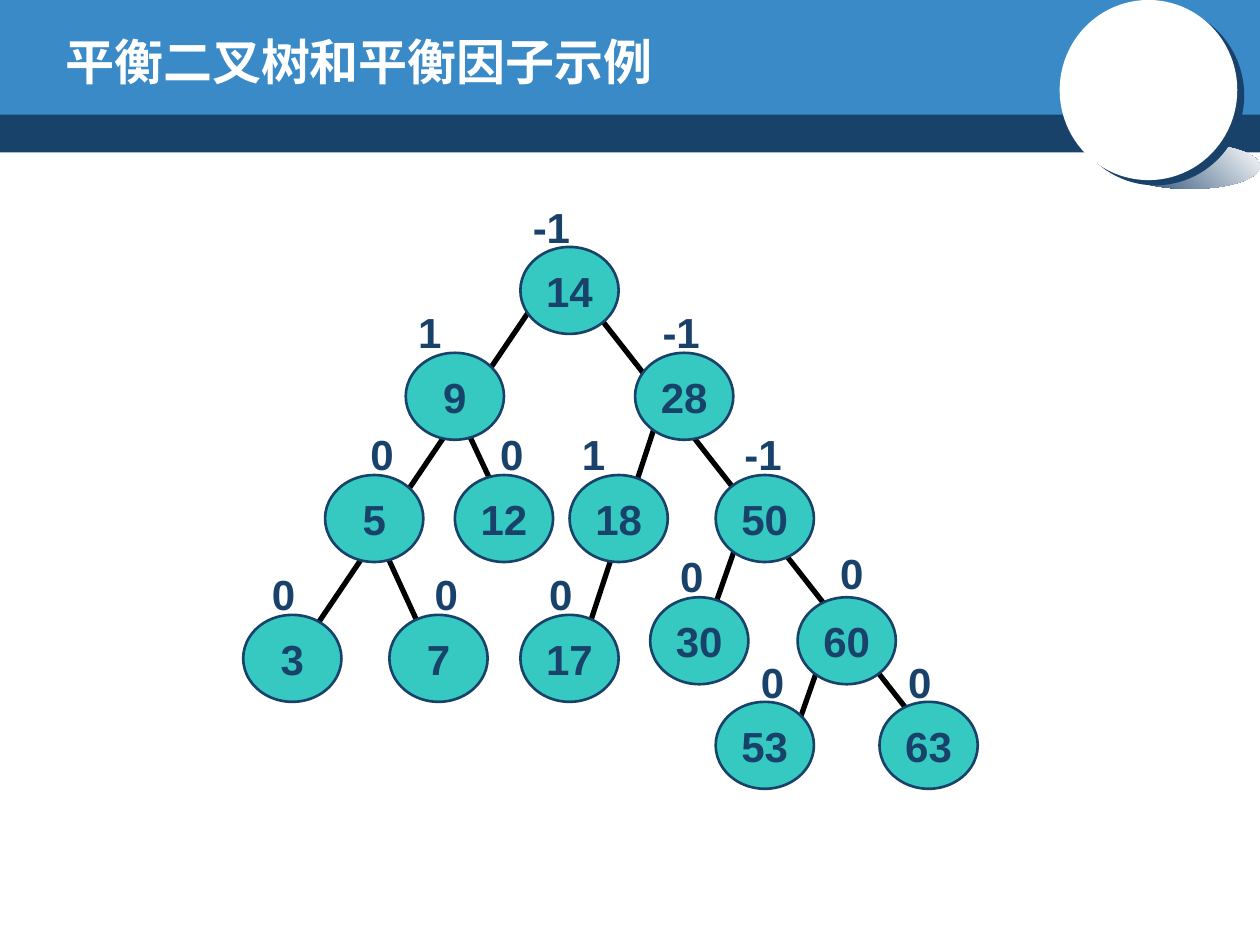
from lxml import etree
from pptx import Presentation
from pptx.dml.color import RGBColor
from pptx.enum import shapes, text
from pptx.oxml import parse_xml
from pptx.oxml.ns import qn
from pptx.util import Inches, Pt

THEME = {
    "navy": RGBColor.from_string("19426B"),
    "blue": RGBColor.from_string("398AC7"),
    "teal": RGBColor.from_string("35C9C2"),
    "white": RGBColor.from_string("FFFFFF"),
    "black": RGBColor.from_string("000000"),
    "title_font": "DejaVu Sans",
    "title_size": Pt(28),
    "tree_font": "Arial",
    "tree_size": Pt(24),
    "outline": Pt(1.5),
    "branch": Pt(3),
}

TITLE = "平衡二叉树和平衡因子示例"
NODE_SIZE = (0.78, 0.69)
FACTOR_SIZE = (0.65, 0.5)

# key, node left/top, balance factor, factor left/top
NODES = [
    ("14", 4.13, 1.96, "-1", 4.13, 1.55),
    ("9", 3.22, 2.8, "1", 3.22, 2.38),
    ("28", 5.04, 2.8, "-1", 5.16, 2.38),
    ("5", 2.58, 3.77, "0", 2.84, 3.35),
    ("12", 3.61, 3.77, "0", 3.87, 3.35),
    ("18", 4.52, 3.77, "1", 4.52, 3.35),
    ("50", 5.68, 3.77, "-1", 5.81, 3.35),
    ("3", 1.93, 4.88, "0", 2.06, 4.46),
    ("7", 3.09, 4.88, "0", 3.35, 4.46),
    ("17", 4.13, 4.88, "0", 4.26, 4.46),
    ("30", 5.16, 4.74, "0", 5.3, 4.32),
    ("60", 6.33, 4.74, "0", 6.57, 4.3),
    ("53", 5.68, 5.57, "0", 5.94, 5.16),
    ("63", 6.98, 5.57, "0", 7.11, 5.16),
]

BRANCHES = [
    (5.94, 4.05, 5.55, 5.16),
    (6.59, 5.02, 6.2, 6.13),
    (3.61, 3.21, 4.13, 4.32),
    (2.97, 4.19, 3.48, 5.3),
    (5.3, 3.07, 4.52, 5.44),
    (4.65, 2.38, 7.37, 5.85),
    (4.26, 2.38, 2.19, 5.44),
]


def add_filled(slide, kind, box, color):
    shape = slide.shapes.add_shape(kind, *map(Inches, box))
    shape.shadow.inherit = False
    shape.fill.solid()
    shape.fill.fore_color.rgb = color
    shape.line.fill.background()
    return shape


def write(shape, words, font, size, color):
    paragraph = shape.text_frame.paragraphs[0]
    paragraph.text = words
    paragraph.font.name = font
    paragraph.font.size = size
    paragraph.font.bold = True
    paragraph.font.color.rgb = color
    return paragraph


def add_text(slide, box, words, font, size, color):
    shape = slide.shapes.add_textbox(*map(Inches, box))
    shape.text_frame.word_wrap = True
    write(shape, words, font, size, color)
    return shape


def add_header(slide):
    rectangle = shapes.MSO_SHAPE.RECTANGLE
    oval = shapes.MSO_SHAPE.OVAL
    add_filled(slide, rectangle, (0, 0.87, 10, 0.34), THEME["navy"])
    add_filled(slide, rectangle, (0, 0, 10, 0.91), THEME["blue"])

    floor_shade = add_filled(slide, oval, (8.89, 1.14, 1.11, 0.36), THEME["navy"])
    floor_shade.fill.gradient()
    floor_shade.fill.gradient_angle = 45
    for stop, color in zip(floor_shade.fill.gradient_stops, ("navy", "white")):
        stop.color.rgb = THEME[color]

    disc = add_filled(slide, oval, (8.41, 0, 1.41, 1.43), THEME["white"])
    effects = disc._element.spPr.find(qn("a:effectLst"))
    effects.append(parse_xml(
        '<a:outerShdw xmlns:a="http://schemas.openxmlformats.org/drawingml/2006/main" '
        f'blurRad="0" dist="{Pt(5)}" dir="{37 * 60000}" algn="ctr" rotWithShape="0">'
        f'<a:srgbClr val="{THEME["navy"]}"/></a:outerShdw>'
    ))
    add_filled(slide, oval, (8.88, 0.5, 0.5, 0.49), THEME["white"])

    title = add_text(slide, (0.42, 0.17, 8.08, 0.62), TITLE,
                     THEME["title_font"], THEME["title_size"], THEME["white"])
    title.text_frame.vertical_anchor = text.MSO_ANCHOR.MIDDLE


def add_branch(slide, ends):
    branch = slide.shapes.add_connector(shapes.MSO_CONNECTOR.STRAIGHT, *map(Inches, ends))
    branch.line.color.rgb = THEME["black"]
    branch.line.width = THEME["branch"]
    etree.SubElement(branch._element.spPr, qn("a:effectLst"))


def add_node(slide, key, left, top):
    node = add_filled(slide, shapes.MSO_SHAPE.OVAL, (left, top, *NODE_SIZE), THEME["teal"])
    node.line.color.rgb = THEME["navy"]
    node.line.width = THEME["outline"]
    node.text_frame.word_wrap = False
    node.text_frame.vertical_anchor = text.MSO_ANCHOR.MIDDLE
    paragraph = write(node, key, THEME["tree_font"], THEME["tree_size"], THEME["navy"])
    paragraph.alignment = text.PP_ALIGN.CENTER


def main():
    presentation = Presentation()
    presentation.slide_width = Inches(10)
    presentation.slide_height = Inches(7.5)
    slide = presentation.slides.add_slide(presentation.slide_layouts[6])
    add_header(slide)
    for ends in BRANCHES:
        add_branch(slide, ends)
    for key, left, top, *_ in NODES:
        add_node(slide, key, left, top)
    for *_, factor, left, top in NODES:
        add_text(slide, (left, top, *FACTOR_SIZE), factor,
                 THEME["tree_font"], THEME["tree_size"], THEME["navy"])
    presentation.save("out.pptx")


if __name__ == "__main__":
    main()
